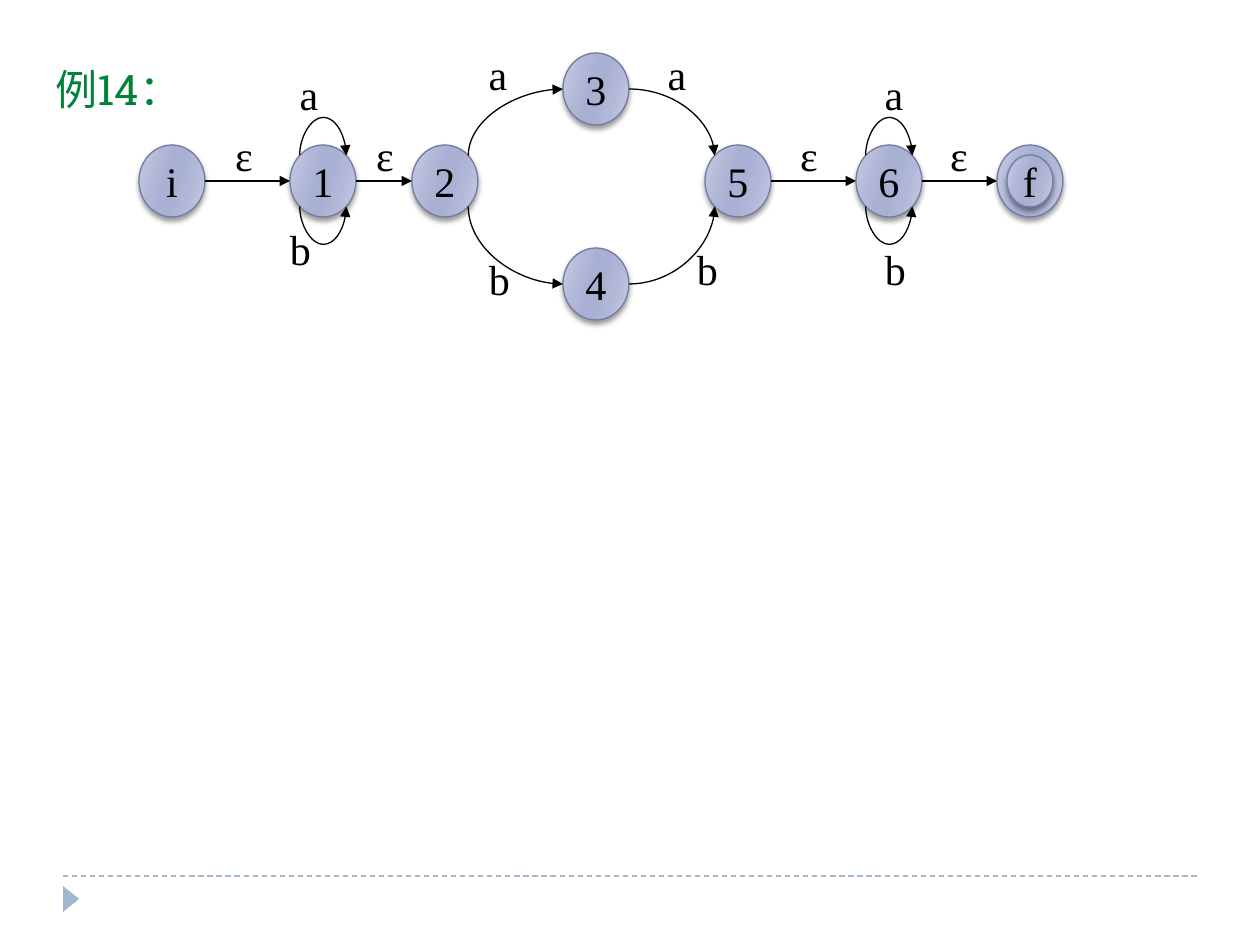
import math

from lxml import etree
from pptx import Presentation
from pptx.dml.color import RGBColor
from pptx.enum.dml import MSO_LINE
from pptx.enum.shapes import MSO_CONNECTOR, MSO_SHAPE
from pptx.enum.text import MSO_ANCHOR, MSO_AUTO_SIZE, PP_ALIGN
from pptx.oxml.ns import qn
from pptx.util import Emu, Pt

STRAIGHT, CURVE = MSO_CONNECTOR.STRAIGHT, MSO_CONNECTOR.CURVE
OVAL, TRIANGLE = MSO_SHAPE.OVAL, MSO_SHAPE.ISOSCELES_TRIANGLE
DASH = MSO_LINE.DASH
TOP, MIDDLE = MSO_ANCHOR.TOP, MSO_ANCHOR.MIDDLE
LEFT, CENTER = PP_ALIGN.LEFT, PP_ALIGN.CENTER
NO_FIT, GROW = MSO_AUTO_SIZE.NONE, MSO_AUTO_SIZE.SHAPE_TO_FIT_TEXT

SCALE = 914400 // 126
SERIF, SLAB = "Times New Roman", "Roboto Slab"
BLACK, GREEN, ACCENT, OUTLINE = "000000", "00823B", "9FB8CD", "727CA3"
GRADIENT = [(0, "C9CDE2"), (30, "B1B7D7"), (45, "A8B0D3"),
            (55, "A8B0D3"), (73, "B1B7D7"), (100, "C9CDE2")]

NODE_W, NODE_H = 66, 72
ROW = 145
NODES = [("i", 139, ROW), ("1", 290, ROW), ("2", 412, ROW), ("3", 563, 53),
         ("4", 563, 248), ("5", 705, ROW), ("6", 856, ROW), ("f", 997, ROW)]

# Connection sites of an ellipse, counted from the top, counterclockwise
TOP_LEFT, W, BOTTOM_LEFT, BOTTOM_RIGHT, E, TOP_RIGHT = 1, 2, 3, 5, 6, 7
LINKS = [("i", E, "1", W), ("1", E, "2", W), ("5", E, "6", W), ("6", E, "f", W),
         ("2", TOP_RIGHT, "3", W), ("2", BOTTOM_RIGHT, "4", W),
         ("3", E, "5", TOP_LEFT), ("4", E, "5", BOTTOM_LEFT)]
LINKS += [(name, start, name, end) for name in "16"
          for start, end in ((TOP_LEFT, TOP_RIGHT), (BOTTOM_LEFT, BOTTOM_RIGHT))]
LOOP_DEPTH = 42
LOOP_EXTENT = 1588

LABELS = {"ε": [(222, 123), (363, 123), (787, 123), (937, 123)],
          "a": [(287, 62), (655, 42), (872, 62), (476, 42)],
          "b": [(277, 217), (476, 247), (684, 237), (872, 237)]}
LABEL_WIDTH = {"ε": 44, "a": 44, "b": 47}


def px(*lengths):
    """Turn pixels into EMU."""
    return [Emu(round(n * SCALE)) for n in lengths]


def rgb(value):
    """Turn a hex string into a colour."""
    return RGBColor.from_string(value)


def sub(parent, tag, **attrs):
    """Append an XML child with the given attributes."""
    return etree.SubElement(parent, qn(tag), {k: str(v) for k, v in attrs.items()})


def write(tf, text, font, color, align, anchor):
    """Set one 24 pt paragraph and return it."""
    tf.text = text
    tf.vertical_anchor = anchor
    p = tf.paragraphs[0]
    p.alignment = align
    f = p.runs[0].font
    f.size, f.name, f.color.rgb = Pt(24), font, rgb(color)
    return p


def add_title(s, text):
    """Place the green heading."""
    sp = s.shapes.title
    sp.left, sp.top, sp.width, sp.height = px(5, 57, 217, 69)
    p = write(sp.text_frame, text, SLAB, GREEN, LEFT, TOP)
    sp.text_frame.auto_size = NO_FIT
    p.space_before = Pt(5)
    p._p.get_or_add_pPr().set("marL", str(px(38)[0]))


def add_line(s, x1, y1, x2, y2, color, kind=STRAIGHT):
    """Draw a thin connector without a shadow."""
    c = s.shapes.add_connector(kind, *px(x1, y1, x2, y2))
    c.line.width = Pt(0.75)
    c.line.color.rgb = rgb(color)
    sub(c._element.spPr, "a:effectLst")
    return c


def add_footer(s):
    """Draw the dashed rule and the page marker."""
    add_line(s, 63, 876, 1197, 876, ACCENT).line.dash_style = DASH
    sp = s.shapes.add_shape(TRIANGLE, *px(58, 891, 26, 16))
    sp.rotation = 90
    sp.shadow.inherit = False
    sp.fill.solid()
    sp.fill.fore_color.rgb = rgb(ACCENT)
    sp.line.fill.background()


def add_ellipse(s, x, y, w, h, text=""):
    """Draw a shaded ellipse with an optional caption."""
    sp = s.shapes.add_shape(OVAL, *px(x, y, w, h))
    sp.fill.gradient()
    sp.fill.gradient_angle = 344
    sp.line.color.rgb = rgb(OUTLINE)
    sp.line.width = Pt(0.75)
    sp.shadow.inherit = False
    spPr = sp._element.spPr
    stops = spPr.find(".//" + qn("a:gsLst"))
    for old in list(stops):
        stops.remove(old)
    for pos, color in GRADIENT:
        sub(sub(stops, "a:gs", pos=pos * 1000), "a:srgbClr", val=color)
    shadow = sub(spPr.find(qn("a:effectLst")), "a:outerShdw", blurRad=Pt(3),
                 dist=Pt(2), dir=5400000, rotWithShape=0)
    sub(sub(shadow, "a:srgbClr", val=BLACK), "a:alpha", val=40000)
    if text:
        write(sp.text_frame, text, SERIF, BLACK, CENTER, MIDDLE)
        sp.text_frame.word_wrap = False
    return sp


def add_node(s, name, x, y):
    """Draw a state; the final state f is a double ellipse."""
    if name != "f":
        return add_ellipse(s, x, y, NODE_W, NODE_H, name)
    outer = add_ellipse(s, x, y, NODE_W, NODE_H)
    inner = add_ellipse(s, x + 10, y + 10, NODE_W - 20, NODE_H - 20, name)
    s.shapes.add_group_shape([outer, inner])
    return outer


def site_point(name, site):
    """Return the pixel position of a connection site."""
    x, y = next(n[1:] for n in NODES if n[0] == name)
    angle = math.radians(90 + 45 * site)
    return (x + NODE_W / 2 * (1 + math.cos(angle)),
            y + NODE_H / 2 * (1 - math.sin(angle)))


def bend(c, x1, y1, x2, y2, site, loop):
    """Give a curved connector its preset, turn and flip."""
    up = site in (TOP_LEFT, TOP_RIGHT)
    xfrm = c._element.spPr.find(qn("a:xfrm"))
    geom = c._element.spPr.find(qn("a:prstGeom"))
    for flip in ("flipH", "flipV"):
        xfrm.attrib.pop(flip, None)
    w, h = px(abs(x2 - x1), abs(y2 - y1))
    cx, cy = px((x1 + x2) / 2, (y1 + y2) / 2)
    rot, flip = 0, "flipV" if y2 < y1 else None
    if site != E:
        w, h = (LOOP_EXTENT if loop else h), w
        rot, flip = 270, None if up else "flipH"
    if loop:
        if up:
            rot, flip = 90, "flipV"
        depth = px(-LOOP_DEPTH if up else LOOP_DEPTH)[0]
        guides = geom.find(qn("a:avLst"))
        if guides is None:
            guides = sub(geom, "a:avLst")
        sub(guides, "a:gd", name="adj1", fmla=f"val {round(depth / w * 100000)}")
    geom.set("prst", "curvedConnector3" if loop else "curvedConnector2")
    c.left, c.top, c.width, c.height = cx - w // 2, cy - h // 2, w, h
    if rot:
        xfrm.set("rot", str(rot * 60000))
    if flip:
        xfrm.set(flip, "1")


def add_link(s, nodes, start, site1, end, site2):
    """Join two states with an arrow attached to both."""
    points = *site_point(start, site1), *site_point(end, site2)
    straight = (site1, site2) == (E, W)
    c = add_line(s, *points, BLACK, STRAIGHT if straight else CURVE)
    sub(c.line._get_or_add_ln(), "a:tailEnd", type="triangle")
    if not straight:
        bend(c, *points, site1, start == end)
    ends = c._element.find(".//" + qn("p:cNvCxnSpPr"))
    sub(ends, "a:stCxn", id=nodes[start].shape_id, idx=site1)
    sub(ends, "a:endCxn", id=nodes[end].shape_id, idx=site2)


def add_label(s, text, x, y):
    """Write the symbol of a transition."""
    tf = s.shapes.add_textbox(*px(x, y, LABEL_WIDTH[text], 63)).text_frame
    write(tf, text, SERIF, BLACK, CENTER, MIDDLE)
    tf.word_wrap = False
    tf.auto_size = GROW


def main():
    """Build the automaton slide."""
    prs = Presentation()
    prs.slide_width, prs.slide_height = px(1260, 945)
    s = prs.slides.add_slide(prs.slide_layouts[5])
    add_title(s, "例14：")
    add_footer(s)
    nodes = {n[0]: add_node(s, *n) for n in NODES}
    for link in LINKS:
        add_link(s, nodes, *link)
    for text, places in LABELS.items():
        for x, y in places:
            add_label(s, text, x, y)
    prs.save("out.pptx")


main()
